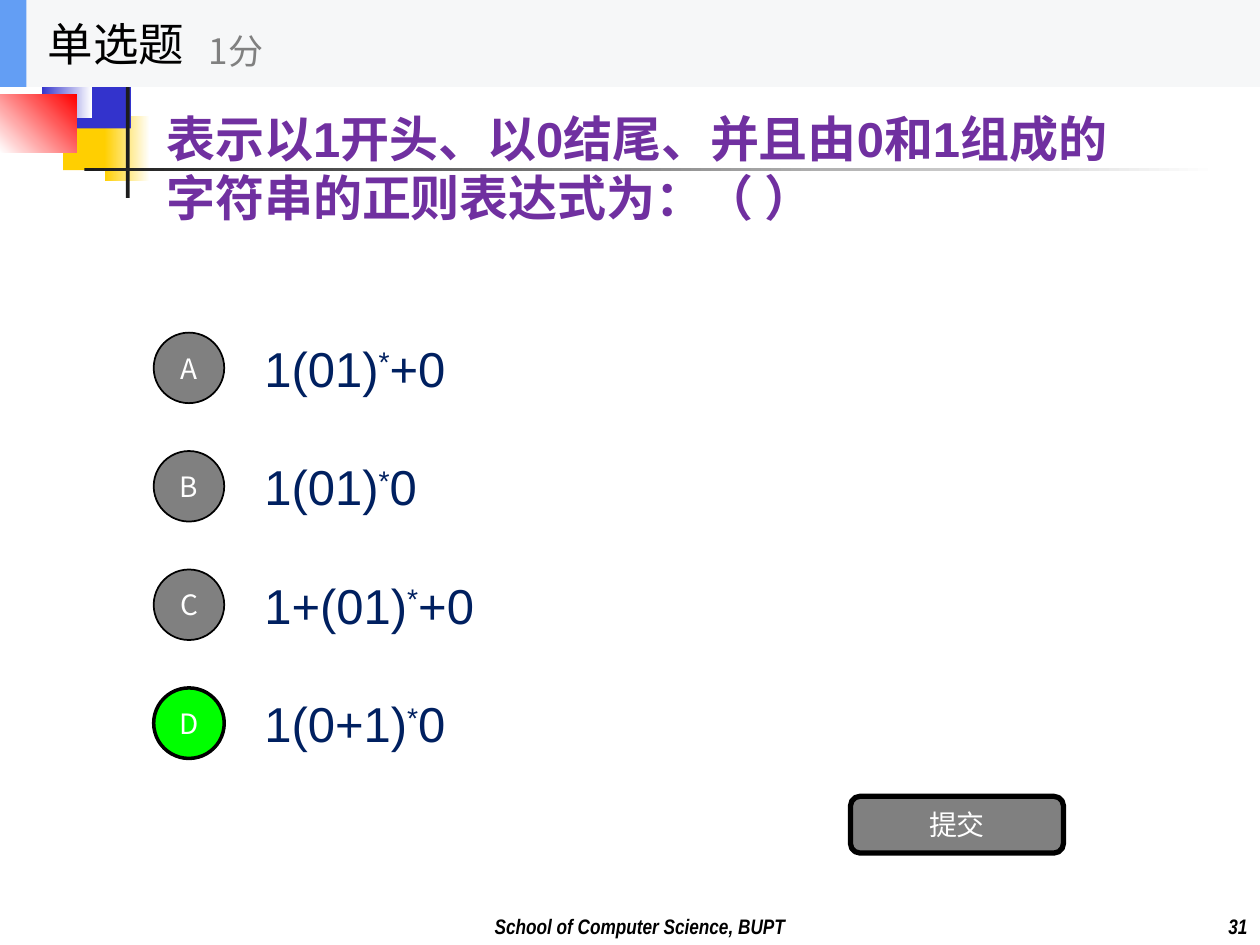
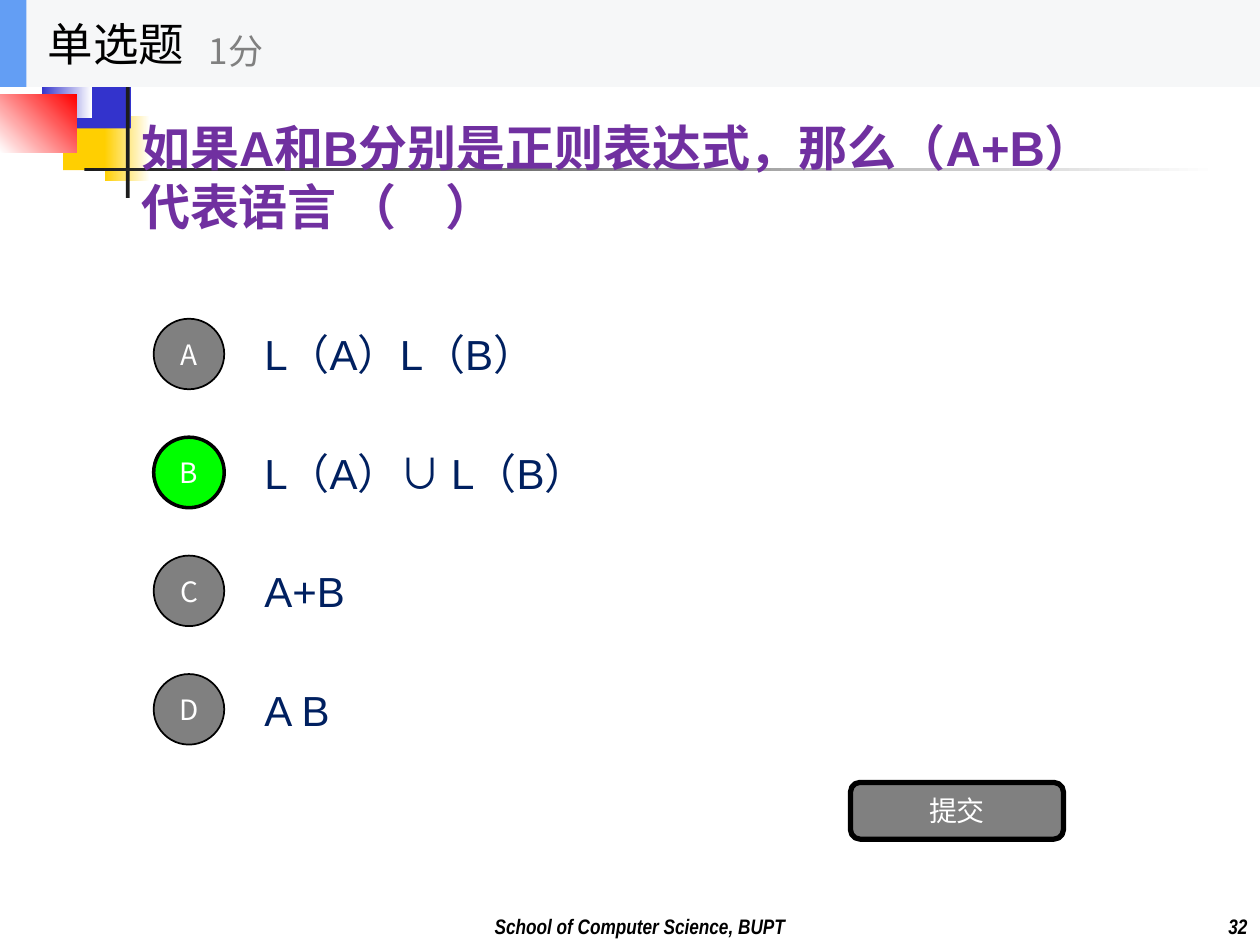
from pptx import Presentation
from pptx.dml.color import RGBColor
from pptx.enum.lang import MSO_LANGUAGE_ID as Language
from pptx.enum.shapes import MSO_SHAPE as Shape
from pptx.enum.text import MSO_ANCHOR as Anchor, MSO_AUTO_SIZE as AutoSize, PP_ALIGN as Align
from pptx.oxml.ns import qn
from pptx.util import Inches, Pt
from lxml import etree

COLORS = {
    "black": "000000", "white": "FFFFFF", "gray": "808080", "green": "00FF00",
    "purple": "7030A0", "navy": "002060", "band": "F6F7F8", "accent": "639EF4",
    "yellow": "FFCF01", "blue": "3333CC", "red": "FF0000", "ink": "1C1C1C",
}
CJK = "Noto Sans CJK SC"
FORMATS = {
    "title": {"name": "Arial", "size": Pt(28), "bold": True, "color": "purple"},
    "formula": {"name": "Arial", "size": Pt(28), "color": "navy"},
    "language": {"name": "Arial", "size": Pt(24), "color": "navy"},
    "button": {"name": CJK, "size": Pt(16), "color": "white"},
    "kind": {"name": CJK, "size": Pt(26), "color": "black"},
    "score": {"name": CJK, "size": Pt(20), "color": "gray"},
    "footer": {"name": "Arial Narrow", "size": Pt(12), "bold": True, "italic": True,
               "color": "black"},
}
# left, top, width, height, colours from start to end, gradient angle
ORNAMENTS = [
    (0.5, 0.83, 0.48, 0.52, ["yellow"], 0),
    (0.83, 0.92, 0.36, 0.52, ["yellow", "white"], 0),
    (0.58, 0.5, 0.46, 0.52, ["blue"], 0),
    (0.33, 0.42, 0.4, 0.52, ["blue", "white"], 0),
    (0, 0.75, 0.61, 0.46, ["white", "red"], 45),
    (1, 0.42, 0.03, 1.15, ["ink"], 0),
    (0.67, 1.33, 9, 0.03, ["ink", "white"], 0),
]
QUESTIONS = [
    {"number": 31, "title": "表示以1开头、以0结尾、并且由0和1组成的字符串的正则表达式为：（ ）",
     "title_at": (1.22, 0.16), "first_top": 2.64, "format": "formula", "answer": "D",
     "options": ["1(01)*+0", "1(01)*0", "1+(01)*+0", "1(0+1)*0"]},
    {"number": 32, "title": "如果A和B分别是正则表达式，那么（A+B）代表语言 （　）",
     "title_at": (1.02, 0.23), "first_top": 2.53, "format": "language", "answer": "B",
     "options": ["L（A）L（B）", "L（A）∪ L（B）", "A+B", "A B"]},
]
OPTION_PITCH = 0.94
CIRCLE_SIZE = 0.56


def add_block(shapes, kind, frame, fills, angle=0, line_width=0):
    """Add a shape with a plain fill, or a gradient when two fills are given."""
    block = shapes.add_shape(kind, *map(Inches, frame))
    block.shadow.inherit = False
    if len(fills) == 1:
        block.fill.solid()
        block.fill.fore_color.rgb = RGBColor.from_string(COLORS[fills[0]])
    else:
        block.fill.gradient()
        block.fill.gradient_angle = angle
        for stop, fill in zip(block.fill.gradient_stops, fills):
            stop.color.rgb = RGBColor.from_string(COLORS[fill])
    if line_width:
        block.line.color.rgb = RGBColor.from_string(COLORS["black"])
        block.line.width = Pt(line_width)
    else:
        block.line.fill.background()
    return block


def write(box, text, style, align=Align.LEFT, anchor=Anchor.MIDDLE):
    """Fill the box with one paragraph; an asterisk is raised."""
    frame = box.text_frame
    for name, value in {"word_wrap": True, "auto_size": AutoSize.NONE,
                        "vertical_anchor": anchor}.items():
        setattr(frame, name, value)
    para = frame.paragraphs[0]
    para.alignment = align
    for piece in filter(None, text.partition("*")):
        span = para.add_run()
        span.text = piece
        for name, value in FORMATS[style].items():
            if name == "color":
                span.font.color.rgb = RGBColor.from_string(COLORS[value])
            else:
                setattr(span.font, name, value)
        span.font.language_id = Language.SIMPLIFIED_CHINESE
        properties = span.font._element
        etree.SubElement(properties, qn("a:ea"), typeface=CJK)
        if piece == "*":
            properties.set("baseline", "30000")
    return para


deck = Presentation()
deck.slide_width, deck.slide_height = Inches(10), Inches(7.5)

for question in QUESTIONS:
    page = deck.slides.add_slide(deck.slide_layouts[5])
    shapes = page.shapes

    for *frame, fills, angle in ORNAMENTS:
        add_block(shapes, Shape.RECTANGLE, frame, fills, angle)

    number_box = shapes.add_textbox(Inches(8.33), Inches(7), Inches(1.67), Inches(0.5))
    write(number_box, str(question["number"]), "footer", Align.RIGHT, Anchor.BOTTOM)
    school_box = shapes.add_textbox(Inches(1.58), Inches(7), Inches(7), Inches(0.5))
    school = write(school_box, "School of Computer Science, BUPT", "footer",
                   Align.CENTER, Anchor.BOTTOM)
    school.line_spacing = 1.1

    # The title stands in front of the ornaments
    title = shapes.title
    title.element.getparent().append(title.element)
    title.left, title.top = map(Inches, question["title_at"])
    title.width, title.height = Inches(8), Inches(2.34)
    write(title, question["title"], "title")

    first_top = question["first_top"]
    for row, (letter, option) in enumerate(zip("ABCD", question["options"])):
        top = first_top + row * OPTION_PITCH
        option_box = shapes.add_textbox(Inches(2), Inches(top - 0.07), Inches(7), Inches(0.7))
        write(option_box, option, question["format"])
        is_answer = letter == question["answer"]
        circle = add_block(shapes, Shape.OVAL, (1.22, top, CIRCLE_SIZE, CIRCLE_SIZE),
                           ["green" if is_answer else "gray"],
                           line_width=2 if is_answer else 1)
        for side in ("left", "top", "right", "bottom"):
            setattr(circle.text_frame, f"margin_{side}", 0)
        write(circle, letter, "button", Align.CENTER)

    submit = add_block(shapes, Shape.ROUNDED_RECTANGLE, (6.75, first_top + 3.68, 1.69, 0.45),
                       ["gray"], line_width=3)
    write(submit, "提交", "button", Align.CENTER)

    header = shapes.add_group_shape().shapes
    add_block(header, Shape.RECTANGLE, (0, 0, 10, 0.69), ["band"])
    add_block(header, Shape.RECTANGLE, (0, 0, 0.21, 0.69), ["accent"])
    kind_box = header.add_textbox(Inches(0.28), 0, Inches(2.08), Inches(0.69))
    write(kind_box, "单选题", "kind")
    score_box = header.add_textbox(Inches(1.56), Inches(0.12), Inches(2.5), Inches(0.56))
    write(score_box, "1分", "score")

deck.save("out.pptx")
